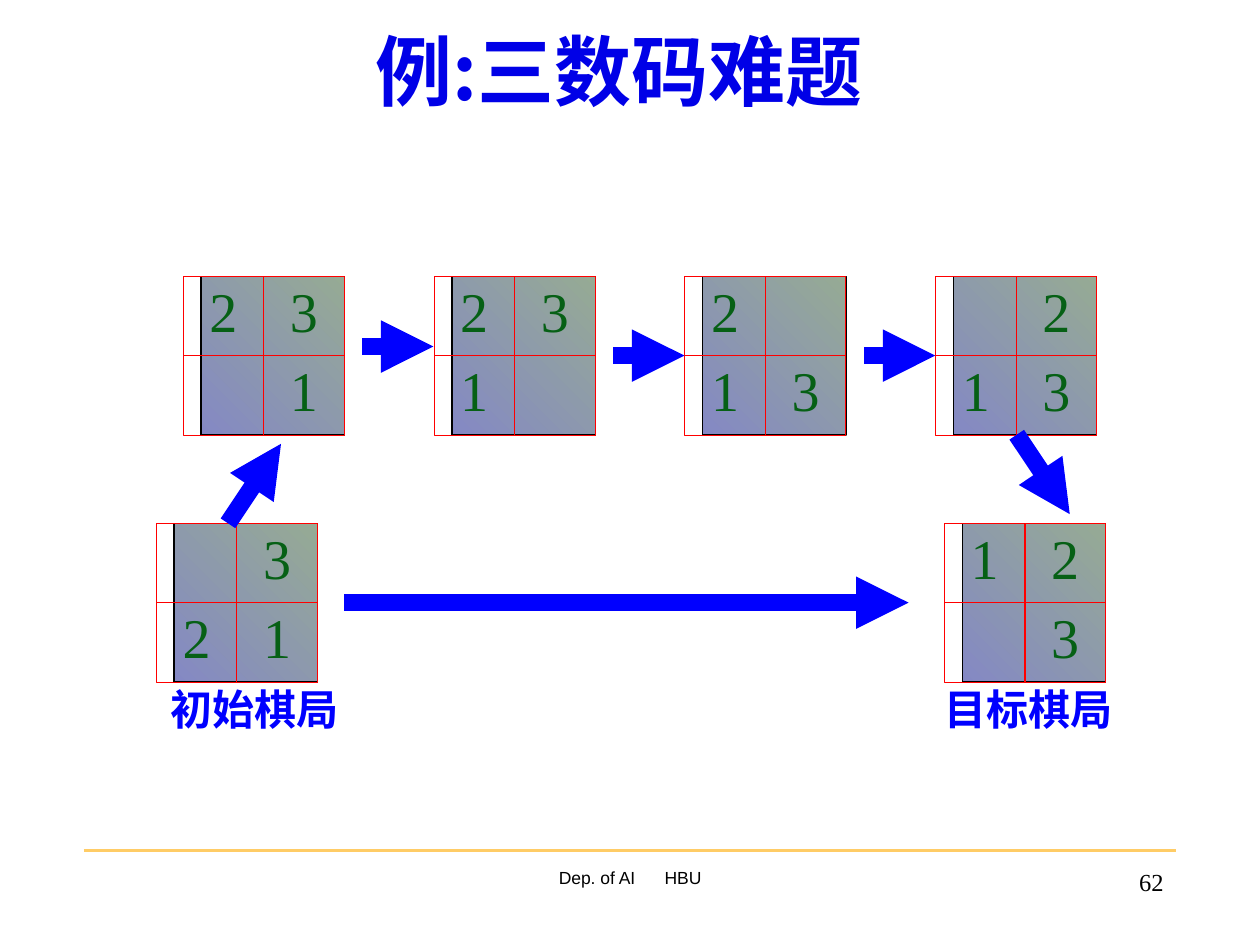
import pptx
import pptx.util
import pptx.dml.color
import pptx.enum.shapes
import pptx.enum.text
import pptx.oxml
import pptx.oxml.ns
from lxml import etree

Pt = pptx.util.Pt
RGBColor = pptx.dml.color.RGBColor
PP_ALIGN = pptx.enum.text.PP_ALIGN
ANCHOR = pptx.enum.text.MSO_ANCHOR
SHAPE = pptx.enum.shapes.MSO_SHAPE
qn = pptx.oxml.ns.qn

BLACK = RGBColor(0x00, 0x00, 0x00)
BLUE = RGBColor(0x00, 0x00, 0xFF)
TITLE_BLUE = RGBColor(0x00, 0x00, 0xE7)
GREEN = RGBColor(0x06, 0x60, 0x15)
RED = RGBColor(0xFF, 0x00, 0x00)
GOLD = RGBColor(0xFF, 0xCC, 0x66)
TILE_LOW = RGBColor(0x84, 0x88, 0xC4)
TILE_HIGH = RGBColor(0x96, 0xAB, 0x94)
CJK = "Noto Sans CJK SC"
SERIF = "Times New Roman"


def write(sp, text, size, color, font, align=PP_ALIGN.CENTER, anchor=ANCHOR.TOP):
    tf = sp.text_frame
    tf.vertical_anchor = anchor
    p = tf.paragraphs[0]
    p.alignment = align
    r = p.add_run()
    r.text = text
    r.font.size = Pt(size)
    r.font.color.rgb = color
    r.font.name = font
    if font == CJK:
        r.font.bold = True
        ea = etree.SubElement(r.font._element, qn("a:ea"))
        ea.set("typeface", font)


def add_line(x1, y1, x2, y2, color, width, arrow=False):
    s = slide.shapes.add_connector(pptx.enum.shapes.MSO_CONNECTOR.STRAIGHT,
                                   Pt(x1), Pt(y1), Pt(x2), Pt(y2))
    s.line.color.rgb = color
    s.line.width = Pt(width)
    if arrow:
        etree.SubElement(s.line._get_or_add_ln(), qn("a:tailEnd")).set("type", "triangle")
    etree.SubElement(s._element.spPr, qn("a:effectLst"))


prs = pptx.Presentation()
prs.slide_width, prs.slide_height = Pt(720), Pt(540)
slide = prs.slides.add_slide(prs.slide_layouts[6])

# Footer rule and page number
add_line(48, 486, 672, 486, GOLD, 1.5)
s = slide.shapes.add_textbox(Pt(522), Pt(492), Pt(150), Pt(36))
s.text_frame.word_wrap = True
write(s, "62", 14, BLACK, SERIF, PP_ALIGN.RIGHT)

# Title
s = slide.shapes.add_textbox(Pt(36), Pt(-3.6), Pt(636), Pt(86.4))
s.text_frame.word_wrap = True
write(s, "例:三数码难题", 44, TITLE_BLUE, CJK, anchor=ANCHOR.MIDDLE)

# Boards: left, top and the four cells row by row
CELL_W, CELL_H = 46, 45.4
ROW_X, ROW_Y, STEP = 104.7, 157.8, 143.3
START_X, GOAL_X, BOTTOM_Y = 89.3, 539.7, 299
boards = [(START_X, BOTTOM_Y, " 321")]
boards += [(ROW_X + i * STEP, ROW_Y, cells)
           for i, cells in enumerate(["23 1", "231 ", "2 13", " 213"])]
boards.append((GOAL_X, BOTTOM_Y, "12 3"))

for left, top, cells in boards:
    s = slide.shapes.add_shape(SHAPE.RECTANGLE, Pt(left + 10.2), Pt(top),
                               Pt(82), Pt(2 * CELL_H))
    s.shadow.inherit = False
    s.fill.gradient()
    s.fill.gradient_angle = 45
    for stop, color, pos in zip(s.fill.gradient_stops, (TILE_LOW, TILE_HIGH), (0, 1)):
        stop.color.rgb = color
        stop.position = pos
    s.line.color.rgb = BLACK
    s.line.width = Pt(0.75)
    for i, digit in enumerate(cells):
        row, col = divmod(i, 2)
        s = slide.shapes.add_shape(SHAPE.RECTANGLE, Pt(left + col * CELL_W),
                                   Pt(top + row * CELL_H), Pt(CELL_W), Pt(CELL_H))
        s.shadow.inherit = False
        s.fill.background()
        s.line.color.rgb = RED
        s.line.width = Pt(0.5)
        if digit != " ":
            tf = s.text_frame
            tf.margin_left = tf.margin_right = tf.margin_top = tf.margin_bottom = 0
            write(s, digit, 32, GREEN, SERIF)

# Arrows between boards
for ends in [(196.8, 344.4, 519.2, 344.4),
             (130.3, 299, 160.6, 253.6),
             (581, 248.4, 611.3, 293.8),
             (207, 198, 247.7, 198),
             (350.4, 203.2, 391.1, 203.2),
             (493.8, 203.2, 534.5, 203.2)]:
    add_line(*ends, BLUE, 10, arrow=True)

# Board captions, without insets so that each stays on one line
for left, text in [(94.3, "初始棋局"), (536.4, "目标棋局")]:
    s = slide.shapes.add_textbox(Pt(left), Pt(392.4), Pt(102.2), Pt(25.2))
    tf = s.text_frame
    tf.word_wrap = False
    tf.margin_left = tf.margin_right = tf.margin_top = tf.margin_bottom = 0
    write(s, text, 24, BLUE, CJK, anchor=ANCHOR.MIDDLE)

# Footer, with a tab stop between its two parts
s = slide.shapes.add_textbox(Pt(246), Pt(492), Pt(228), Pt(36))
s.text_frame.word_wrap = True
s.text_frame.margin_left = Pt(73.3)
write(s, "Dep. of AI\tHBU", 10, BLACK, "Arial", PP_ALIGN.LEFT)
tabs = etree.SubElement(s.text_frame.paragraphs[0]._p.get_or_add_pPr(), qn("a:tabLst"))
tab = etree.SubElement(tabs, qn("a:tab"))
tab.set("pos", str(Pt(60.5)))
tab.set("algn", "l")

prs.save("out.pptx")
